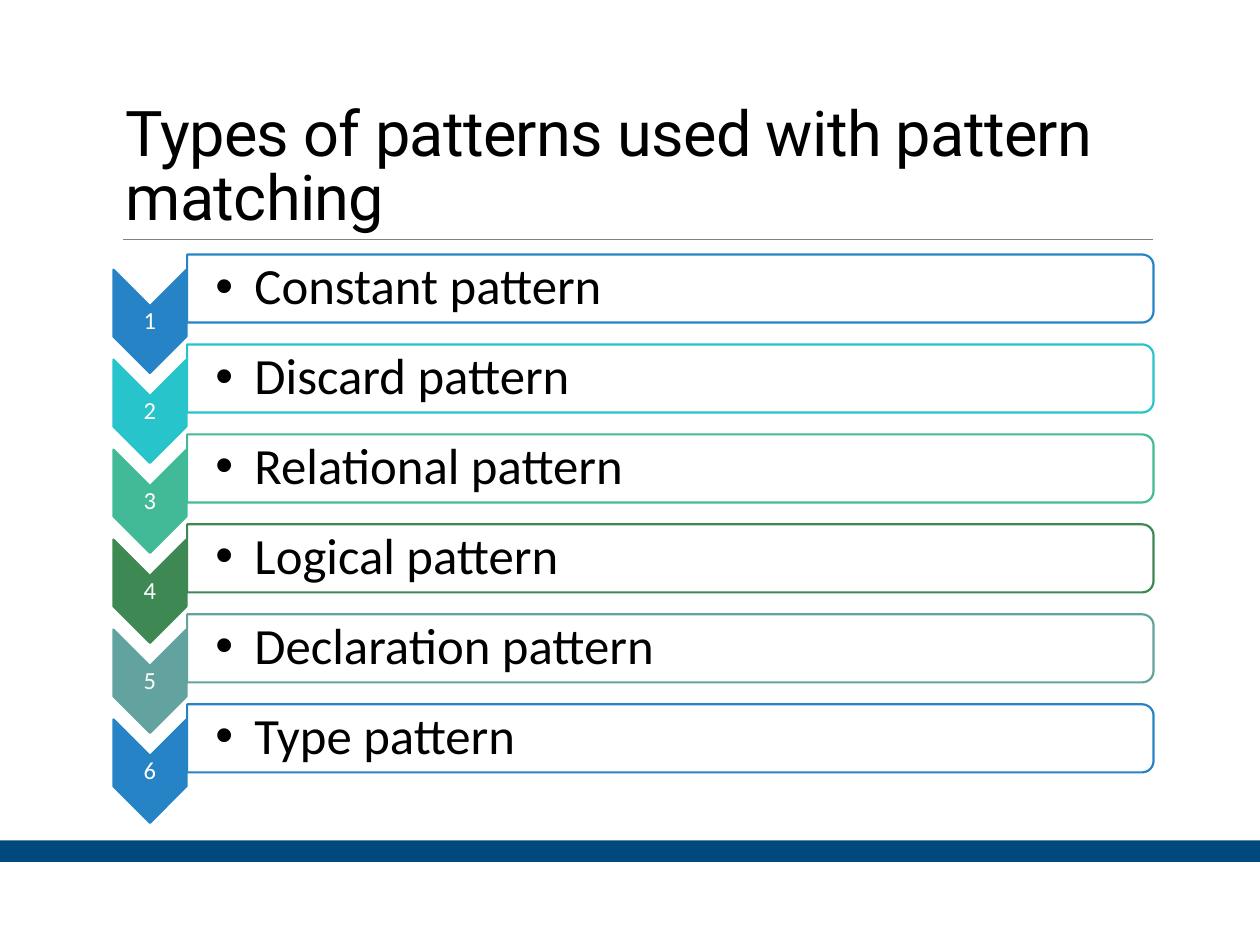
"""Build a slide listing the types of patterns used with pattern matching."""
from lxml.etree import SubElement
from pptx import Presentation
from pptx.dml.color import RGBColor
from pptx.enum.shapes import MSO_CONNECTOR as Connector, MSO_SHAPE as Shape
from pptx.enum.text import MSO_ANCHOR as Anchor, PP_ALIGN as Align
from pptx.oxml.ns import qn
from pptx.util import Inches, Pt

TITLE = "Types of patterns used with pattern matching"
PATTERNS = [
    ("Constant pattern", "2683C6"),
    ("Discard pattern", "28C4CC"),
    ("Relational pattern", "42BA97"),
    ("Logical pattern", "3E8853"),
    ("Declaration pattern", "62A39F"),
    ("Type pattern", "2683C6"),
]
FIRST_CENTER, LAST_CENTER = 2.29, 5.86
STEP = (LAST_CENTER - FIRST_CENTER) / (len(PATTERNS) - 1)
CHEVRON_LENGTH, CHEVRON_WIDTH, CHEVRON_CENTER = 0.82, 0.58, 1.19
BAR_LENGTH, BAR_HEIGHT, BAR_CENTER = 7.67, 0.54, 5.32
CHEVRON_DROP = 0.26


def color(value):
    return RGBColor.from_string(value)


def add_shape(slide, kind, box, fill, line=None, rotation=0):
    shape = slide.shapes.add_shape(kind, *map(Inches, box))
    shape.shadow.inherit = False
    shape.rotation = rotation
    shape.fill.solid()
    shape.fill.fore_color.rgb = color(fill)
    if line:
        shape.line.color.rgb = color(line)
        shape.line.width = Pt(1.25)
    else:
        shape.line.fill.background()
    return shape


def add_turned_shape(slide, kind, center, size, fill, line):
    box = [middle - length / 2 for middle, length in zip(center, size)]
    return add_shape(slide, kind, (*box, *size), fill, line, 90)


def add_text(slide, text, box, size, font="Calibri", fill="000000",
             anchor=Anchor.MIDDLE, insets=(0.1, 0.05, 0.1, 0.05), spacing=0.9):
    frame = slide.shapes.add_textbox(*map(Inches, box)).text_frame
    frame.word_wrap = True
    frame.vertical_anchor = anchor
    (frame.margin_left, frame.margin_top,
     frame.margin_right, frame.margin_bottom) = map(Inches, insets)
    paragraph = frame.paragraphs[0]
    paragraph.text = text
    paragraph.line_spacing = spacing
    run_font = paragraph.runs[0].font
    run_font.name, run_font.size = font, Pt(size)
    run_font.color.rgb = color(fill)
    return paragraph


def add_bullet(paragraph, indent):
    paragraph.level = 1
    properties = paragraph._p.get_or_add_pPr()
    properties.set("marL", str(Inches(indent)))
    properties.set("indent", str(-Inches(indent)))
    SubElement(properties, qn("a:buFont"), typeface="Arial")
    SubElement(properties, qn("a:buChar"), char="•")


def add_pattern(slide, index, name, accent):
    center = FIRST_CENTER + index * STEP
    chevron_center = center + CHEVRON_DROP
    add_turned_shape(slide, Shape.CHEVRON, (CHEVRON_CENTER, chevron_center),
                     (CHEVRON_LENGTH, CHEVRON_WIDTH), accent, accent)
    number = add_text(slide, str(index + 1), (0.9, chevron_center - 0.12, CHEVRON_WIDTH, 0.25),
                      14, fill="FFFFFF", insets=(0.01,) * 4)
    number.alignment = Align.CENTER
    bar = add_turned_shape(slide, Shape.ROUND_2_SAME_RECTANGLE, (BAR_CENTER, center),
                           (BAR_HEIGHT, BAR_LENGTH), "FFFFFF", accent)
    bar_color = bar.fill._xPr.find(qn("a:solidFill"))[0]
    SubElement(bar_color, qn("a:alpha"), val="90000")
    label = add_text(slide, name, (1.48, center - 0.24, 7.65, 0.48), 29,
                     insets=(0.23, 0.02, 0.02, 0.02))
    add_bullet(label, 0.31)


def main():
    presentation = Presentation()
    presentation.slide_width, presentation.slide_height = Inches(10), Inches(7.5)
    slide = presentation.slides.add_slide(presentation.slide_layouts[6])

    rule = slide.shapes.add_connector(
        Connector.STRAIGHT, *map(Inches, (0.98, 1.9, 9.15, 1.9)))
    rule.line.color.rgb = color("808080")
    rule.line.width = Pt(0.5)
    SubElement(rule._element.spPr, qn("a:effectLst"))
    add_shape(slide, Shape.RECTANGLE, (0, 6.67, 10, 0.17), "00497C")

    title = add_text(slide, TITLE, (0.9, 0.31, 8.25, 1.59), 36, "Roboto",
                     anchor=Anchor.BOTTOM, spacing=0.85)
    title.runs[0].font._element.set("spc", "-40")

    for index, (name, accent) in enumerate(PATTERNS):
        add_pattern(slide, index, name, accent)
    presentation.save("out.pptx")


if __name__ == "__main__":
    main()
